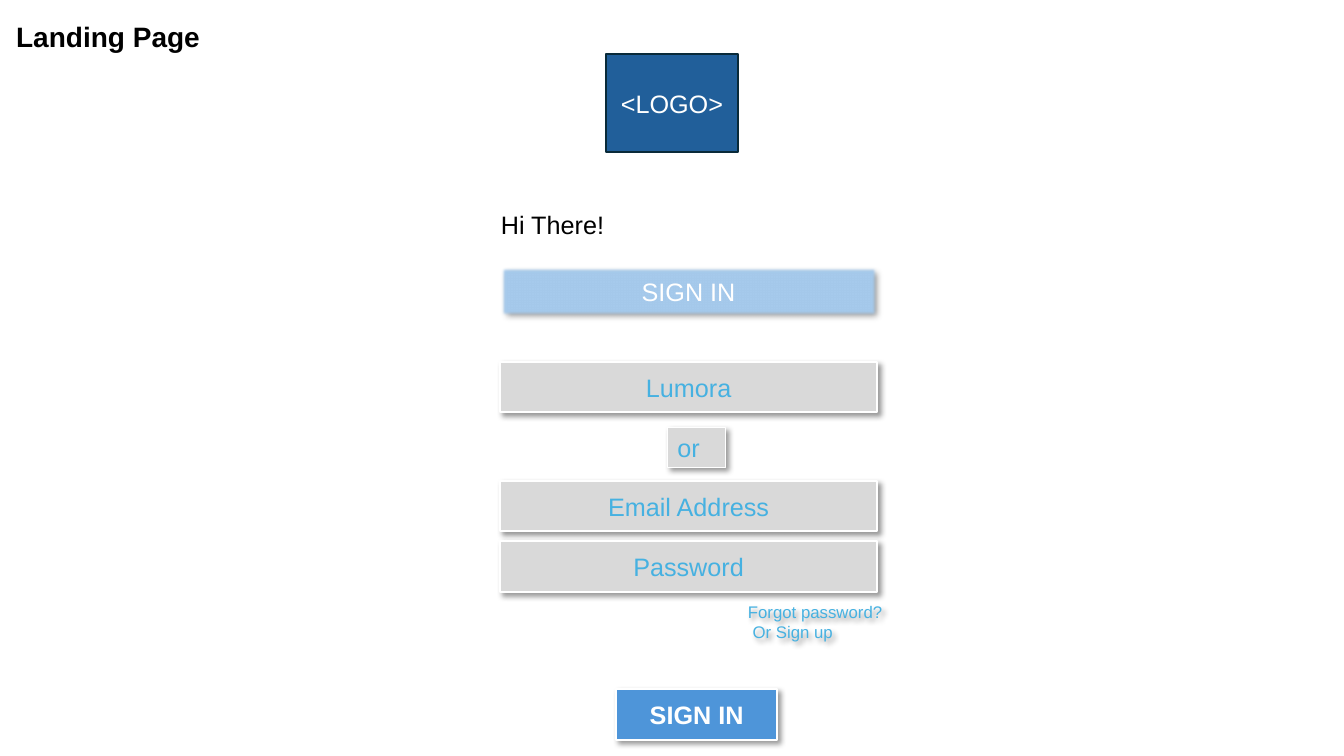
from lxml import etree
from pptx import Presentation
from pptx.dml.color import RGBColor
from pptx.enum.shapes import MSO_SHAPE
from pptx.enum.text import MSO_ANCHOR, MSO_AUTO_SIZE, PP_ALIGN
from pptx.oxml.ns import qn
from pptx.util import Inches, Pt

RECT = MSO_SHAPE.RECTANGLE
TOP, MIDDLE = MSO_ANCHOR.TOP, MSO_ANCHOR.MIDDLE
LEFT, CENTER = PP_ALIGN.LEFT, PP_ALIGN.CENTER
GROW = MSO_AUTO_SIZE.SHAPE_TO_FIT_TEXT

COLORS = {
    "navy": "215F9A", "ink": "092A39", "pale": "A6CAEC", "blue": "4E95D9",
    "gray": "D9D9D9", "sky": "46B1E1", "white": "FFFFFF", "black": "000000",
}


def write(shape, text, color, size=18, bold=False, align=LEFT, anchor=TOP):
    frame = shape.text_frame
    frame.word_wrap = True
    frame.vertical_anchor = anchor
    if anchor == TOP:
        frame.auto_size = GROW
    frame.text = text
    for para in frame.paragraphs:
        para.alignment = align
        para.font.name = "Arial"
        para.font.size = Pt(size)
        para.font.bold = bold
        para.font.color.rgb = RGBColor.from_string(COLORS[color])


def cast(shape, soft=False):
    """Give the shape a drop shadow and, if soft, blurred edges."""
    shape.shadow.inherit = False
    effects = shape._element.spPr.find(qn("a:effectLst"))
    drop = etree.SubElement(
        effects, qn("a:outerShdw"), blurRad=str(Pt(4)), dist=str(Pt(3)),
        dir="2700000", algn="tl", rotWithShape="0")
    tint = etree.SubElement(drop, qn("a:srgbClr"), val=COLORS["black"])
    etree.SubElement(tint, qn("a:alpha"), val="40000")
    if soft:
        etree.SubElement(effects, qn("a:softEdge"), rad=str(Pt(2)))


deck = Presentation()
deck.slide_width, deck.slide_height = Inches(13.33), Inches(7.5)
slide = deck.slides.add_slide(deck.slide_layouts[5])
shapes = slide.shapes

title = shapes.title
title.left, title.top = Inches(0.06), Inches(0.14)
title.width, title.height = Inches(3.31), Inches(0.44)
write(title, "Landing Page", "black", size=20, bold=True)

# Text, left, top, width, height, fill, line, line width, text color
boxes = [
    ("<LOGO>", 6.01, 0.54, 1.31, 0.97, "navy", "ink", 1.5, "white"),
    ("SIGN IN", 4.96, 2.64, 3.74, 0.5, "pale", None, 0, "white"),
    ("or", 6.62, 4.24, 0.58, 0.4, "gray", "white", 0.75, "sky"),
    ("SIGN IN", 6.11, 6.84, 1.6, 0.5, "blue", "white", 1.5, "white"),
]
for text, top in [("Lumora", 3.59), ("Email Address", 4.77), ("Password", 5.37)]:
    boxes.append((text, 4.96, top, 3.74, 0.5, "gray", "white", 1.5, "sky"))

for text, left, top, width, height, fill, line, weight, color in boxes:
    box = shapes.add_shape(
        RECT, Inches(left), Inches(top), Inches(width), Inches(height))
    box.fill.solid()
    box.fill.fore_color.rgb = RGBColor.from_string(COLORS[fill])
    if line:
        box.line.color.rgb = RGBColor.from_string(COLORS[line])
        box.line.width = Pt(weight)
    else:
        box.line.fill.background()
    if text == "<LOGO>":
        box.shadow.inherit = False
    else:
        cast(box, soft=line is None)
    if text == "or":
        write(box, text, color)
    else:
        write(box, text, color, bold=fill == "blue", align=CENTER, anchor=MIDDLE)

hello = shapes.add_textbox(Inches(4.87), Inches(2.03), Inches(3.34), Inches(0.4))
write(hello, "Hi There!", "black")

links = shapes.add_textbox(Inches(7.32), Inches(5.92), Inches(2.3), Inches(0.5))
write(links, "Forgot password?\n Or Sign up", "sky", size=12)
cast(links)

deck.save("out.pptx")
